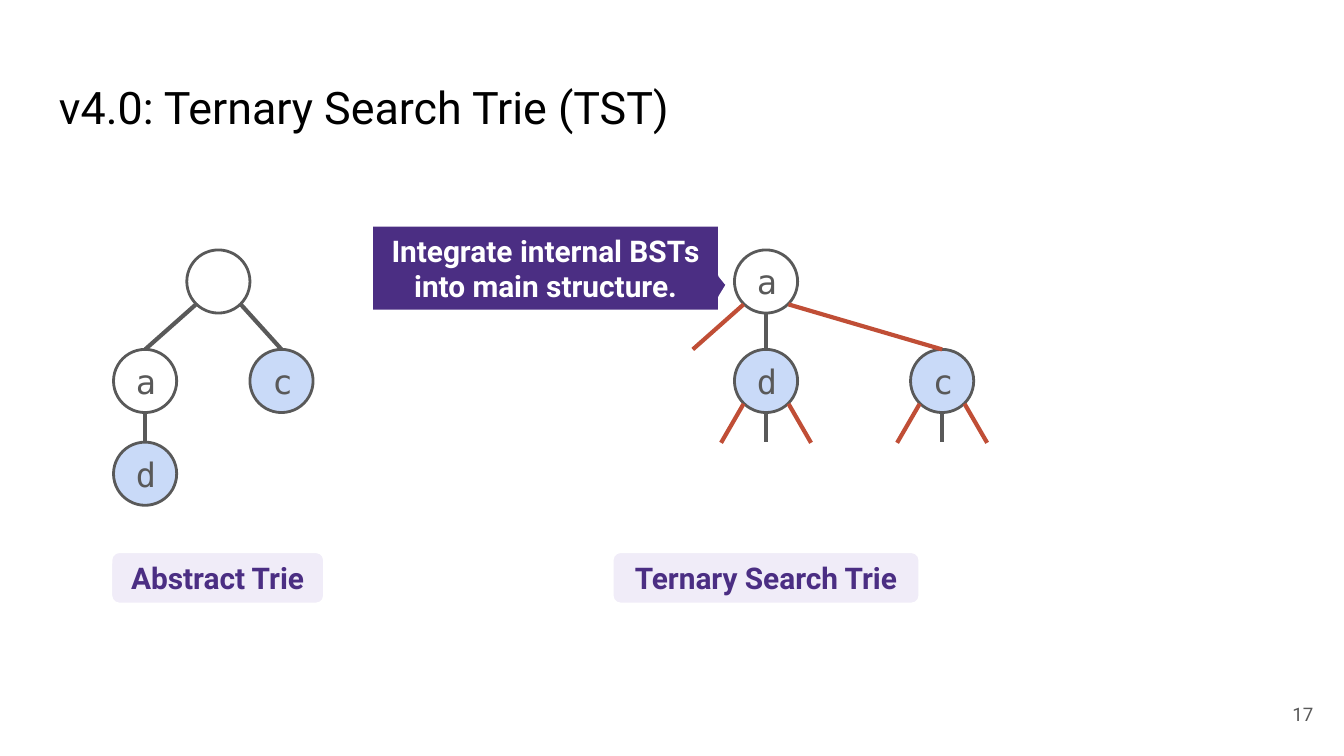
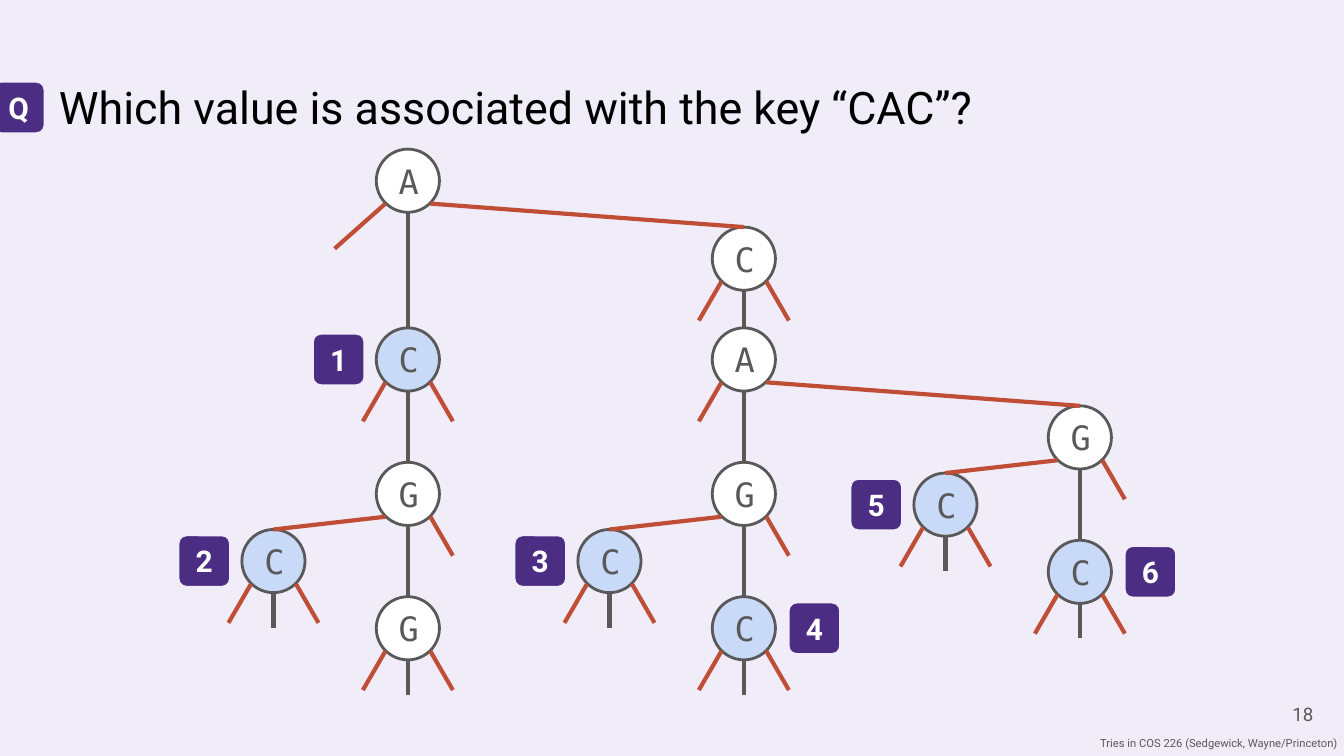
"""Builds two slides on ternary search tries."""
from lxml import etree
from pptx import Presentation
from pptx.dml.color import RGBColor
from pptx.enum.shapes import MSO_CONNECTOR, MSO_SHAPE
from pptx.enum.text import MSO_ANCHOR, PP_ALIGN
from pptx.oxml.ns import qn
from pptx.util import Inches, Pt

OVAL, ROUND = MSO_SHAPE.OVAL, MSO_SHAPE.ROUNDED_RECTANGLE
CALLOUT = MSO_SHAPE.ROUNDED_RECTANGULAR_CALLOUT
LINE = MSO_CONNECTOR.STRAIGHT
TOP, MIDDLE = MSO_ANCHOR.TOP, MSO_ANCHOR.MIDDLE
LEFT, CENTER, RIGHT = PP_ALIGN.LEFT, PP_ALIGN.CENTER, PP_ALIGN.RIGHT

WHITE, BLACK, GRAY, RED = "FFFFFF", "000000", "595959", "C04E36"
PURPLE, LILAC, BLUE = "4B2E83", "F0ECF8", "C9DAF8"
SANS, MONO = "Roboto", "DejaVu Sans Mono"
COLS = 100
NODE, BADGE = 4.7, 4


def rgb(code):
    return RGBColor.from_string(code)


class Deck:
    """Holds the style, a grid of 100 columns, and the current slide."""

    def __init__(self):
        self.prs = Presentation()
        self.prs.slide_width, self.prs.slide_height = Inches(10), Inches(5.625)
        self.unit = self.prs.slide_width / COLS

    def grid(self, *cells):
        return [round(cell * self.unit) for cell in cells]

    def slide(self, title, page, back):
        self.page = self.prs.slides.add_slide(self.prs.slide_layouts[6])
        self.back = back
        fill = self.page.background.fill
        fill.solid()
        fill.fore_color.rgb = rgb(back)
        self.note(title, (3.4, 4.9, 93.2, 6.3), 24, BLACK)
        self.note(page, (92.7, 51, 6, 4.3), 10, GRAY, RIGHT, MIDDLE)

    def text(self, shape, words, size, color, align, anchor,
             font=SANS, bold=False, inset=1):
        frame = shape.text_frame
        frame.word_wrap = True
        frame.vertical_anchor = anchor
        frame.margin_left, frame.margin_top = self.grid(inset, inset)
        frame.margin_right, frame.margin_bottom = self.grid(inset, inset)
        par = frame.paragraphs[0]
        par.text, par.alignment = words, align
        par.font.name, par.font.size, par.font.bold = font, Pt(size), bold
        par.font.color.rgb = rgb(color)

    def note(self, words, box, size, color, align=LEFT, anchor=TOP, inset=1):
        shape = self.page.shapes.add_textbox(*self.grid(*box))
        self.text(shape, words, size, color, align, anchor, inset=inset)

    def shape(self, kind, box, fill, edge, width, bends=()):
        shape = self.page.shapes.add_shape(kind, *self.grid(*box))
        shape.shadow.inherit = False
        shape.fill.solid()
        shape.fill.fore_color.rgb = rgb(fill)
        shape.line.color.rgb = rgb(edge)
        shape.line.width = Pt(width)
        for i, bend in enumerate(bends):
            shape.adjustments[i] = bend
        return shape

    def label(self, words, box, fill=PURPLE, color=WHITE, kind=ROUND,
              bends=(0.167,)):
        shape = self.shape(kind, box, fill, self.back, 2.25, bends)
        self.text(shape, words, 16, color, CENTER, MIDDLE, bold=True)

    def badge(self, words, col, row):
        self.label(words, (col, row, BADGE, BADGE))

    def node(self, words, col, row, fill):
        box = (col - NODE / 2, row, NODE, NODE)
        shape = self.shape(OVAL, box, fill, GRAY, 1.5)
        if words:
            self.text(shape, words, 18, GRAY, LEFT, MIDDLE, MONO)
        return shape

    def line(self, start, end, color):
        line = self.page.shapes.add_connector(LINE, *self.grid(*start, *end))
        line.line.color.rgb = rgb(color)
        line.line.width = Pt(2.25)
        etree.SubElement(line._element.spPr, qn("a:effectLst"))
        return line

    def tree(self, nodes, drop=0, root=None):
        """Draws nodes and links; a drop above 0 adds stubs for empty links."""
        ovals = {name: self.node(name[:1].strip(), col, row, fill)
                 for name, (col, row, fill, _) in nodes.items()}
        for name, (col, row, _, kids) in nodes.items():
            for side, kid in zip((-1, 0, 1), kids.split()):
                color = RED if side and drop else GRAY
                start = (col + 1.67 * side, row + (4.05 if side else NODE))
                if kid in nodes:
                    line = self.line(start, nodes[kid][:2], color)
                    line.end_connect(ovals[kid], 0)
                elif drop:
                    wide, deep = (5.45, 7.4) if name == root else (3.35, 6.95)
                    end = (col + wide * side, row + (deep if side else drop))
                    self.line(start, end, color)


def compare(deck):
    deck.slide("v4.0: Ternary Search Trie (TST)", "17", WHITE)
    deck.tree({
        " ": (16.25, 18.6, WHITE, "a - c"),
        "a": (10.8, 26, WHITE, "- d -"),
        "d": (10.8, 32.9, BLUE, "- - -"),
        "c": (20.95, 26, BLUE, "- - -"),
    })
    deck.tree({
        "a": (57, 18.6, WHITE, "- d c"),
        "d": (57, 26, BLUE, "- - -"),
        "c": (70.1, 26, BLUE, "- - -"),
    }, drop=6.9, root="a")
    deck.label("Abstract Trie", (8.2, 41, 16, 4), LILAC, PURPLE)
    deck.label("Ternary Search Trie", (45.5, 41, 23, 4), LILAC, PURPLE)
    deck.label("Integrate internal BSTs into main structure.",
               (27.6, 16.7, 26, 6.5), kind=CALLOUT, bends=(0.522, 0.191, 0))


def quiz(deck):
    deck.slide("Which value is associated with the key “CAC”?", "18", LILAC)
    nodes = {
        "A0": (30.35, 11.1, WHITE, "- C1 C0"),
        "C1": (30.35, 24.4, BLUE, "- G1 -"),
        "G1": (30.35, 34.4, WHITE, "C2 G2 -"),
        "C2": (20.35, 39.4, BLUE, "- - -"),
        "G2": (30.35, 44.4, WHITE, "- - -"),
        "C0": (55.35, 16.9, WHITE, "- A1 -"),
        "A1": (55.35, 24.4, WHITE, "- G3 G5"),
        "G3": (55.35, 34.4, WHITE, "C3 C4 -"),
        "C3": (45.35, 39.4, BLUE, "- - -"),
        "C4": (55.35, 44.4, BLUE, "- - -"),
        "G5": (80.35, 30.2, WHITE, "C5 C6 -"),
        "C5": (70.35, 35.2, BLUE, "- - -"),
        "C6": (80.35, 40.2, BLUE, "- - -"),
    }
    deck.tree(nodes, drop=7.3, root="A0")
    deck.badge("Q", -0.6, 6)
    for num in "123456":
        col, row = nodes["C" + num][:2]
        shift = 3.25 if num in "46" else -7.15
        deck.badge(num, col + shift, row + 0.35)
    deck.note("Tries in COS 226 (Sedgewick, Wayne/Princeton)",
              (0, 54.3, COLS, 2), 6, GRAY, RIGHT, inset=0.5)


def main():
    deck = Deck()
    compare(deck)
    quiz(deck)
    deck.prs.save("out.pptx")


if __name__ == "__main__":
    main()
